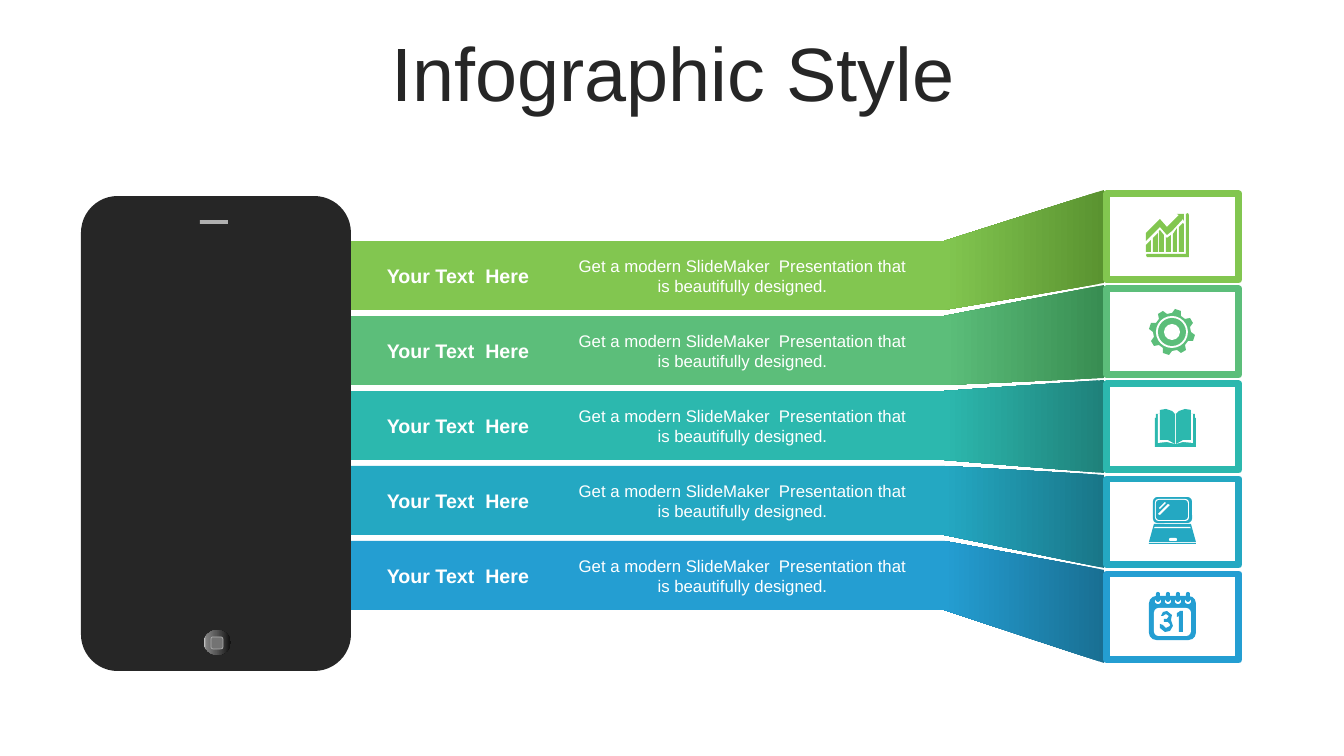
import math
from dataclasses import dataclass

from lxml import etree
from pptx import Presentation
from pptx.dml.color import RGBColor
from pptx.enum.shapes import MSO_SHAPE
from pptx.enum.text import MSO_ANCHOR, MSO_AUTO_SIZE, PP_ALIGN
from pptx.oxml.ns import qn
from pptx.util import Pt

PX = 914400 / 100.8
RECTANGLE = MSO_SHAPE.RECTANGLE
ROUNDED = MSO_SHAPE.ROUNDED_RECTANGLE
OVAL = MSO_SHAPE.OVAL
CENTER = PP_ALIGN.CENTER
MIDDLE = MSO_ANCHOR.MIDDLE
NO_FIT = MSO_AUTO_SIZE.NONE
FIT_SHAPE = MSO_AUTO_SIZE.SHAPE_TO_FIT_TEXT


@dataclass(frozen=True)
class Theme:
    font: str = "Arial"
    title_size: int = 54
    heading_size: int = 14
    body_size: int = 12
    frame_line: int = 5
    white: str = "FFFFFF"
    dark: str = "262626"
    silver: str = "B0B0B0"
    button: str = "737373"
    button_stops: tuple = ((0, "0F0F0F"), (56, "595959"), (91, "808080"), (100, "BFBFBF"))
    rows: tuple = (("82C650", "5A9330"), ("5CBE7A", "388D52"), ("2CB8AE", "1F817A"),
                   ("24A8C2", "197688"), ("249ED2", "196F93"))


THEME = Theme()
HEADING = "Your Text  Here"
BODY = "Get a modern SlideMaker  Presentation that is beautifully designed."


def px(*lengths):
    return [round(length * PX) for length in lengths]


def rgb(color):
    return RGBColor.from_string(color)


def paint(shape, color):
    shape.shadow.inherit = False
    shape.line.fill.background()
    shape.fill.solid()
    shape.fill.fore_color.rgb = rgb(color)
    return shape


def paint_gradient(shape, stops):
    shape.fill.gradient()
    shape.fill.gradient_angle = 180
    stop_list = shape._element.spPr.find(qn("a:gradFill")).find(qn("a:gsLst"))
    for stop in list(stop_list):
        stop_list.remove(stop)
    for position, color in stops:
        stop = etree.SubElement(stop_list, qn("a:gs"), pos=str(position * 1000))
        etree.SubElement(stop, qn("a:srgbClr"), val=color)


def add_block(slide, kind, box, color):
    return paint(slide.shapes.add_shape(kind, *px(*box)), color)


def add_outline(slide, left, top, contours, color):
    builder = slide.shapes.build_freeform(*contours[0][0], scale=PX)
    for index, contour in enumerate(contours):
        if index:
            builder.move_to(*contour[0])
        builder.add_line_segments(contour[1:], close=True)
    return paint(builder.convert_to_shape(*px(left, top)), color)


def format_text(frame, text, size, color, bold=False):
    frame.word_wrap = True
    frame.text = text
    paragraph = frame.paragraphs[0]
    paragraph.alignment = CENTER
    paragraph.font.name = THEME.font
    paragraph.font.size = Pt(size)
    paragraph.font.bold = bold
    paragraph.font.color.rgb = rgb(color)
    return paragraph


def add_label(slide, box, text, size, bold=False):
    frame = slide.shapes.add_textbox(*px(*box)).text_frame
    format_text(frame, text, size, THEME.white, bold)
    frame.auto_size = FIT_SHAPE


def set_title(slide, box, text):
    title = slide.shapes.title
    title.left, title.top, title.width, title.height = px(*box)
    paragraph = format_text(title.text_frame, text, THEME.title_size, THEME.dark)
    paragraph.line_spacing = 0.9
    title.text_frame.vertical_anchor = MIDDLE
    title.text_frame.auto_size = NO_FIT


def add_phone(slide, left, top, width, height):
    body = add_block(slide, ROUNDED, (left, top, width, height), THEME.dark)
    body.adjustments[0] = 0.136
    add_block(slide, RECTANGLE, (left + 119, top + 24, 28, 4), THEME.silver)
    button = add_block(slide, OVAL, (left + 123, top + 434, 27, 25), THEME.dark)
    paint_gradient(button, THEME.button_stops)
    symbol = add_block(slide, ROUNDED, (left + 130, top + 441, 12, 12), THEME.button)
    symbol.line.color.rgb = rgb(THEME.silver)
    symbol.line.width = Pt(0.5)


def add_flap(slide, left, bar_top, bar_height, width, panel_top, panel_height, colors):
    drop = panel_top - bar_top
    corners = [(0, 0), (width, drop), (width, drop + panel_height), (0, bar_height)]
    flap = add_outline(slide, left, bar_top, [corners], colors[0])
    paint_gradient(flap, ((0, colors[1]), (100, colors[0])))


def add_frame(slide, box, color):
    frame = add_block(slide, RECTANGLE, box, THEME.white)
    frame.fill.background()
    frame.line.color.rgb = rgb(color)
    frame.line.width = Pt(THEME.frame_line)


def add_growth_icon(slide, left, top, color):
    add_outline(slide, left, top, [
        [(5, 27), (5, 39), (0, 39), (0, 32)],
        [(12, 20), (12, 39), (7, 39), (7, 25)],
        [(14, 17), (18, 22), (18, 39), (13, 39), (13, 18)],
        [(25, 22), (25, 39), (20, 39), (20, 24), (21, 25)],
        [(31, 15), (31, 39), (27, 39), (27, 21)],
        [(37, 10), (38, 11), (38, 39), (33, 39), (33, 14)],
        [(38, 1), (38, 8), (37, 6), (26, 18), (21, 22), (14, 14), (0, 28), (0, 20),
         (14, 6), (21, 14), (33, 2), (31, 1)],
        [(40, 1), (42, 0), (43, 2), (43, 44), (1, 44), (0, 42), (1, 41), (40, 41)],
    ], color)


def add_gear_icon(slide, left, top, color):
    center = 23
    teeth = []
    for tooth in range(8):
        for offset, radius in ((-15, 19), (-8, 23), (8, 23), (15, 19)):
            angle = math.radians(15 + 45 * tooth + offset)
            teeth.append((round(center + radius * math.sin(angle), 2),
                          round(center - radius * math.cos(angle), 2)))
    add_outline(slide, left, top, [teeth], color)
    for radius, fill in ((16, THEME.white), (14, color), (8, THEME.white)):
        inset = center - radius
        add_block(slide, OVAL, (left + inset, top + inset, 2 * radius, 2 * radius), fill)


def add_book_icon(slide, left, top, color):
    page = [(5, 1), (11, 0), (17, 2), (20, 5), (20, 35), (13, 31), (5, 31)]
    facing_page = [(41 - x, y) for x, y in page]
    cover = [(0, 9), (1, 9), (1, 5), (40, 5), (40, 9), (41, 9), (41, 38), (0, 38)]
    margin = [(3, 5), (38, 5), (38, 34), (28, 33), (21, 35), (20, 35), (12, 33), (3, 34)]
    add_outline(slide, left, top, [cover], color)
    add_outline(slide, left, top, [margin], THEME.white)
    add_outline(slide, left, top, [page, facing_page], color)


def add_laptop_icon(slide, left, top, color):
    for box, fill in (((4, 0, 39, 26), color), ((6, 2, 34, 22), THEME.white),
                      ((7, 3, 32, 20), color)):
        add_block(slide, ROUNDED, (left + box[0], top + box[1], *box[2:]), fill)
    add_outline(slide, left, top, [[(5, 27), (42, 27), (47, 45), (0, 45)],
                                   [(0, 46), (47, 46), (47, 47), (0, 47)]], color)
    add_outline(slide, left, top, [[(19, 7), (9, 17), (11, 18), (21, 8)],
                                   [(16, 5), (10, 11), (11, 12), (17, 6)],
                                   [(6, 30), (41, 30), (42, 31), (5, 31)]], THEME.white)
    add_block(slide, ROUNDED, (left + 20, top + 41, 8, 3), THEME.white).adjustments[0] = 0.5


def add_calendar_icon(slide, left, top, color):
    add_block(slide, ROUNDED, (left, top + 4, 47, 44), color)
    add_block(slide, ROUNDED, (left + 5, top + 16, 37, 28), THEME.white)
    for x in range(left + 7, left + 47, 10):
        add_block(slide, OVAL, (x - 1, top + 7, 6, 5), THEME.white)
        add_block(slide, ROUNDED, (x, top, 4, 10), color).adjustments[0] = 0.5
    three = [(18, 19), (23, 23), (22, 28), (24, 34), (21, 39), (16, 40), (11, 36), (11, 32),
             (14, 33), (17, 36), (21, 34), (21, 32), (19, 30), (15, 30), (15, 27), (18, 27),
             (20, 24), (17, 22), (14, 24), (12, 24), (14, 20)]
    one = [(31, 19), (34, 19), (34, 40), (30, 40), (30, 24), (28, 25), (28, 21), (30, 20)]
    add_outline(slide, left, top, [three, one], color)


ICONS = ((add_growth_icon, 39, 19), (add_gear_icon, 42, 20), (add_book_icon, 48, 25),
         (add_laptop_icon, 42, 18), (add_calendar_icon, 42, 18))


def add_row(slide, left, bar_top, panel_top, colors, icon):
    add_flap(slide, left + 847, bar_top, 69, 160, panel_top, 93, colors)
    add_frame(slide, (left + 1010, panel_top + 4, 132, 86), colors[0])
    add_label(slide, (left + 262, bar_top + 18, 198, 34), HEADING, THEME.heading_size, True)
    add_label(slide, (left + 465, bar_top + 10, 361, 50), BODY, THEME.body_size)
    draw_icon, icon_x, icon_y = icon
    draw_icon(slide, left + 1010 + icon_x, panel_top + 4 + icon_y, colors[0])


def add_infographic(slide, left, top):
    bar_tops = [top + 51 + 75 * index for index in range(len(THEME.rows))]
    for bar_top, colors in zip(bar_tops, THEME.rows):
        add_block(slide, RECTANGLE, (left + 16, bar_top, 848, 69), colors[0])
    add_phone(slide, left, top + 6, 270, 475)
    for index, (bar_top, colors, icon) in enumerate(zip(bar_tops, THEME.rows, ICONS)):
        add_row(slide, left + 16, bar_top, top + 95 * index, colors, icon)


def main():
    presentation = Presentation()
    presentation.slide_width, presentation.slide_height = px(1344, 756)
    slide = presentation.slides.add_slide(presentation.slide_layouts[5])
    set_title(slide, (35, 37, 1276, 80), "Infographic Style")
    add_infographic(slide, 81, 190)
    presentation.save("out.pptx")


if __name__ == "__main__":
    main()
